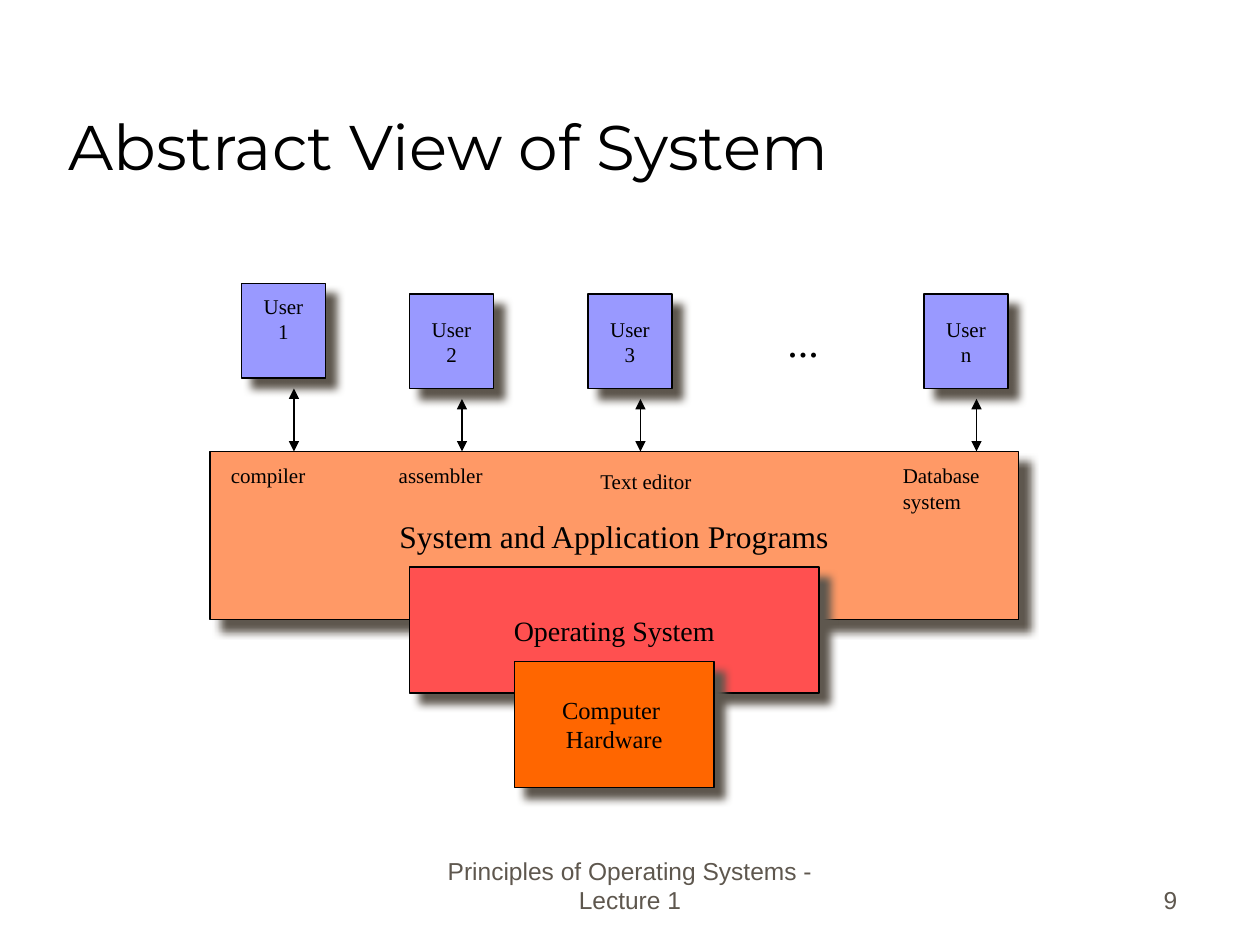
"""Build the slide showing the layers of a computer system and its users."""
from dataclasses import dataclass

from lxml import etree
from pptx import Presentation
from pptx.dml.color import RGBColor
from pptx.enum.shapes import MSO_CONNECTOR, MSO_SHAPE
from pptx.enum.text import MSO_ANCHOR, MSO_AUTO_SIZE, PP_ALIGN
from pptx.oxml.ns import qn
from pptx.util import Inches, Pt

RECTANGLE, STRAIGHT = MSO_SHAPE.RECTANGLE, MSO_CONNECTOR.STRAIGHT
TOP, MIDDLE, BOTTOM = MSO_ANCHOR.TOP, MSO_ANCHOR.MIDDLE, MSO_ANCHOR.BOTTOM
LEFT, CENTER, RIGHT = PP_ALIGN.LEFT, PP_ALIGN.CENTER, PP_ALIGN.RIGHT
FIXED = MSO_AUTO_SIZE.NONE


@dataclass(frozen=True)
class Theme:
    """Colours, fonts and type sizes of the slide."""
    ink: str = "000000"
    muted: str = "5E574E"
    user: str = "9999FF"
    programs: str = "FF9966"
    system: str = "FF5050"
    hardware: str = "FF6600"
    heading: str = "Montserrat"
    body: str = "Times New Roman"
    footer: str = "Arial"
    title_size: int = 36
    dots_size: int = 24
    programs_size: int = 18
    system_size: int = 16
    medium_size: int = 14
    small_size: int = 12
    line_width: float = 0.75


THEME = Theme()
WIDTH, HEIGHT = Inches(10), Inches(7.5)
COLUMNS, ROWS = 120, 90
USER_SIZE = (8, 9)
PROGRAMS_ROW = 43
ARROW_GAP = 1

TITLE = ("Abstract View of System", (5.3, 3, 102, 15))
LAYERS = [
    (["System and Application Programs"], (20, PROGRAMS_ROW, 77, 16),
     THEME.programs, THEME.programs_size),
    (["Operating System"], (39, 54, 39, 12), THEME.system, THEME.system_size),
    (["Computer ", "Hardware"], (49, 63, 19, 12), THEME.hardware, THEME.medium_size),
]
USERS = [
    ("1", 23, 27, 28, TOP),
    ("2", 39, 28, 44, MIDDLE),
    ("3", 56, 28, 61, MIDDLE),
    ("n", 88, 28, 93, MIDDLE),
]
LABELS = [
    (["compiler"], (20.8, 43.5, 9.6, 3.6), THEME.small_size),
    (["assembler"], (36.8, 43.5, 10.6, 3.6), THEME.small_size),
    (["Text editor"], (56, 44, 11.4, 3.6), THEME.small_size),
    (["Database", "system"], (84.8, 43.5, 10, 6), THEME.small_size),
    (["..."], (73.8, 29.5, 5.4, 6), THEME.dots_size),
]
FOOTERS = [
    ("Principles of Operating Systems - Lecture 1", (41, 81.7, 38, 6), CENTER),
    ("9", (88.3, 81.7, 25, 6), RIGHT),
]


def place(column, row):
    """Turn a grid position or size into slide lengths."""
    return round(WIDTH * column / COLUMNS), round(HEIGHT * row / ROWS)


def frame(cell):
    """Turn a grid cell into left, top, width and height."""
    return *place(*cell[:2]), *place(*cell[2:])


def write(box, lines, size, align=LEFT, anchor=TOP, font=THEME.body, color=THEME.ink):
    """Fill a shape with one paragraph per line."""
    text = box.text_frame
    text.word_wrap = True
    text.auto_size = FIXED
    text.vertical_anchor = anchor
    text.text = "\n".join(lines)
    for para in text.paragraphs:
        para.alignment = align
        para.font.size = Pt(size)
        para.font.name = font
        para.font.color.rgb = RGBColor.from_string(color)


def add_block(slide, lines, cell, fill, size, anchor=MIDDLE):
    """Add an outlined rectangle with a soft shadow to the lower right."""
    box = slide.shapes.add_shape(RECTANGLE, *frame(cell))
    box.fill.solid()
    box.fill.fore_color.rgb = RGBColor.from_string(fill)
    box.line.color.rgb = RGBColor.from_string(THEME.ink)
    box.line.width = Pt(THEME.line_width)
    box.shadow.inherit = False
    effects = box.element.spPr.find(qn("a:effectLst"))
    shadow = etree.SubElement(effects, qn("a:outerShdw"), blurRad=str(Pt(5)),
                              dist=str(Pt(8.5)), dir=str(45 * 60000),
                              algn="ctr", rotWithShape="0")
    etree.SubElement(shadow, qn("a:srgbClr"), val=THEME.muted)
    write(box, lines, size, CENTER, anchor)
    return box


def add_arrow(slide, column, top, bottom):
    """Add a vertical arrow with a head at both ends."""
    arrow = slide.shapes.add_connector(STRAIGHT, *place(column, top), *place(column, bottom))
    arrow.line.color.rgb = RGBColor.from_string(THEME.ink)
    arrow.line.width = Pt(THEME.line_width)
    outline = arrow.line._get_or_add_ln()
    for end in ("a:headEnd", "a:tailEnd"):
        etree.SubElement(outline, qn(end), type="triangle", w="med", len="med")
    etree.SubElement(arrow.element.spPr, qn("a:effectLst"))


def main():
    """Compose and save the slide."""
    deck = Presentation()
    deck.slide_width, deck.slide_height = WIDTH, HEIGHT
    slide = deck.slides.add_slide(deck.slide_layouts[5])

    words, cell = TITLE
    title = slide.shapes.title
    title.left, title.top, title.width, title.height = frame(cell)
    write(title, [words], THEME.title_size, LEFT, BOTTOM, THEME.heading)

    for words, cell, align in FOOTERS:
        box = slide.shapes.add_textbox(*frame(cell))
        write(box, [words], THEME.medium_size, align, BOTTOM, THEME.footer, THEME.muted)
    for lines, cell, fill, size in LAYERS:
        add_block(slide, lines, cell, fill, size)
    for name, column, row, arrow_column, anchor in USERS:
        box = add_block(slide, ["User", name], (column, row, *USER_SIZE),
                        THEME.user, THEME.small_size, anchor)
        if anchor == TOP:
            box.text_frame.margin_top = Inches(0.08)
        add_arrow(slide, arrow_column, row + USER_SIZE[1] + ARROW_GAP, PROGRAMS_ROW)
    for lines, cell, size in LABELS:
        write(slide.shapes.add_textbox(*frame(cell)), lines, size)

    deck.save("out.pptx")


if __name__ == "__main__":
    main()
